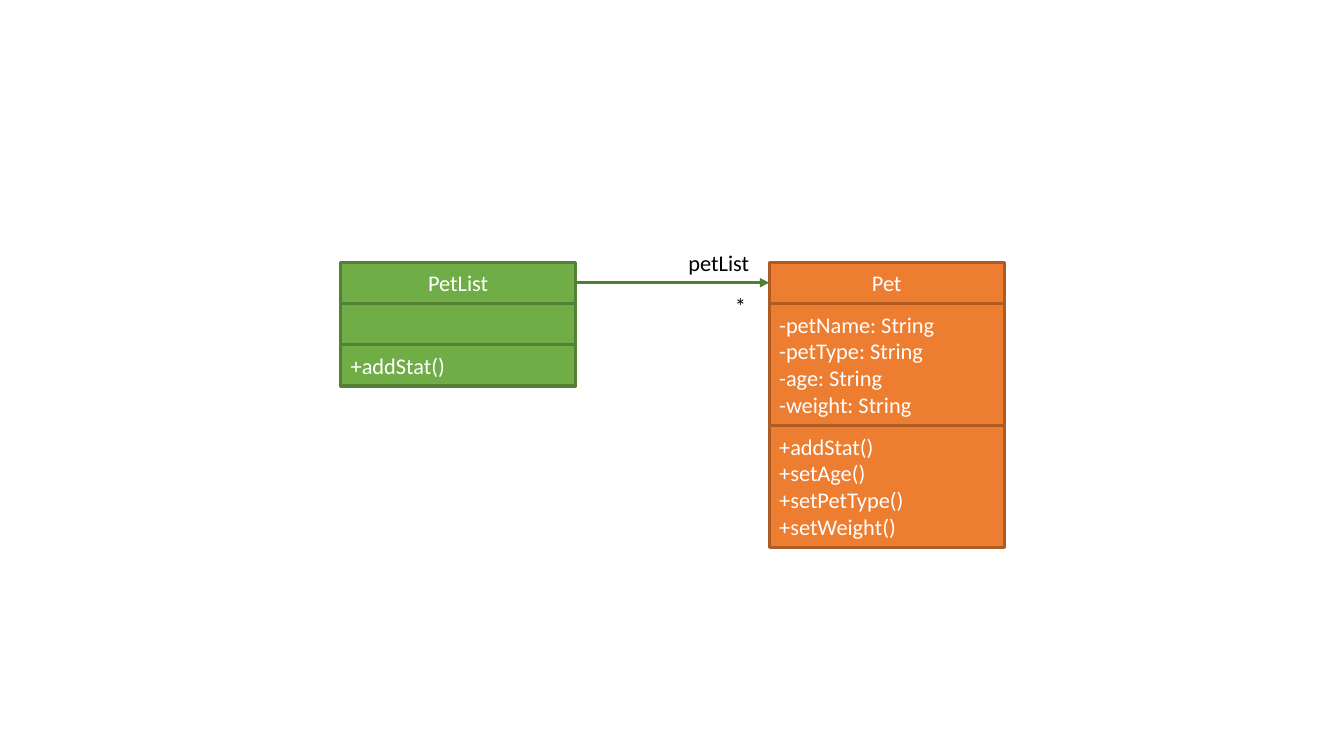
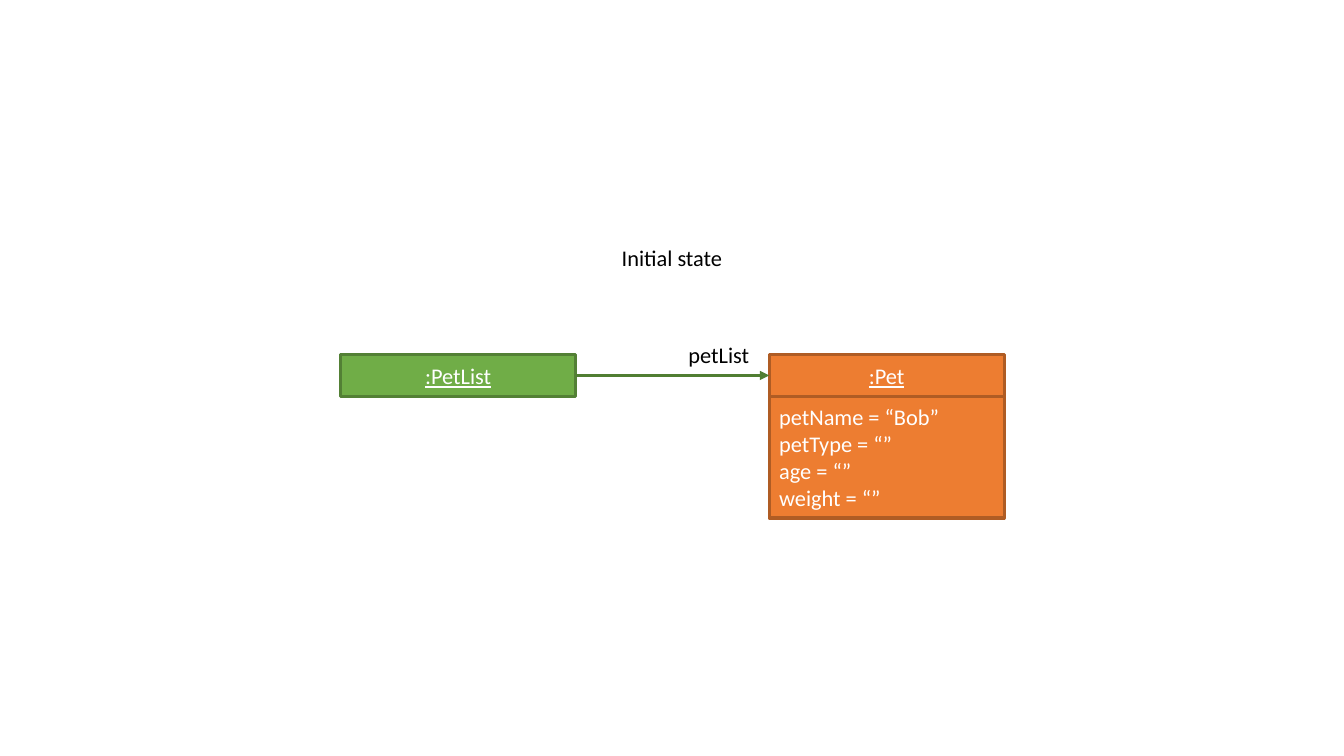
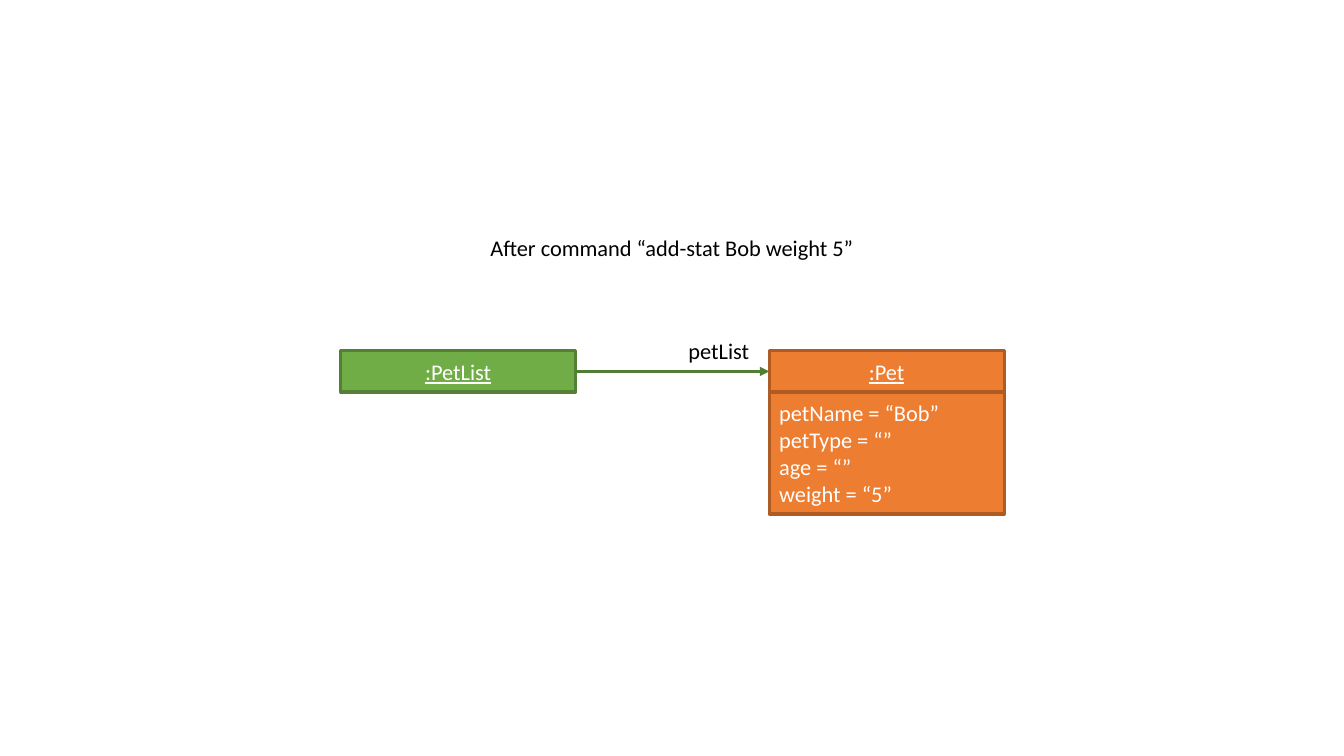
"""Build the class diagram and the two object diagrams of a pet list."""
from pptx import Presentation
from pptx.dml.color import RGBColor
from pptx.enum.shapes import MSO_CONNECTOR as Link, MSO_SHAPE as Shape
from pptx.enum.text import MSO_ANCHOR as Anchor, MSO_AUTO_SIZE as Fit, PP_ALIGN as Align
from pptx.oxml.ns import qn
from pptx.util import Inches, Pt
from lxml.etree import SubElement

GREEN, MOSS = RGBColor(0x70, 0xAD, 0x47), RGBColor(0x53, 0x80, 0x35)
ORANGE, RUST = RGBColor(0xED, 0x7D, 0x31), RGBColor(0xAF, 0x5C, 0x24)
ARROW = RGBColor(0x50, 0x7E, 0x32)
WHITE, BLACK = RGBColor(255, 255, 255), RGBColor(0, 0, 0)
FONT, SIZE, STROKE = "Calibri", Pt(16), Pt(2.25)

SLIDES = [
    {
        "top": 2.6,
        "list": ["PetList", "", "+addStat()"],
        "pet": [
            "Pet",
            "-petName: String\n-petType: String\n-age: String\n-weight: String",
            "+addStat()\n+setAge()\n+setPetType()\n+setWeight()",
        ],
        "count": "*",
    },
    {
        "top": 3.52,
        "title": ("Initial state", 6.06, 2.37, 1.21),
        "list": [":PetList"],
        "pet": [":Pet", "petName = “Bob”\npetType = “”\nage = “”\nweight = “”"],
    },
    {
        "top": 3.48,
        "title": ("After command “add-stat Bob weight 5”", 4.74, 2.27, 3.85),
        "list": [":PetList"],
        "pet": [":Pet", "petName = “Bob”\npetType = “”\nage = “”\nweight = “5”"],
    },
]
LIST_X, PET_X, WIDTH = 3.38, 7.63, 2.33
ROW, LINE = 0.41, 0.8 / 3
LABEL_H = 0.37


def write(frame, text, color, align=Align.LEFT, under=None):
    frame.text = text
    for para in frame.paragraphs:
        para.alignment = align
        for run in para.runs:
            font = run.font
            font.name, font.size, font.underline = FONT, SIZE, under
            font.color.rgb = color


def add_class(slide, left, top, parts, fill, edge):
    """Stack the compartments of one class and return its header."""
    boxes = []
    for i, text in enumerate(parts):
        high = ROW + text.count("\n") * LINE
        box = slide.shapes.add_shape(
            Shape.RECTANGLE, Inches(left), Inches(top), Inches(WIDTH), Inches(high))
        box.shadow.inherit = False
        box.fill.solid()
        box.fill.fore_color.rgb = fill
        box.line.color.rgb, box.line.width = edge, STROKE
        box.text_frame.vertical_anchor = Anchor.MIDDLE
        write(box.text_frame, text, WHITE, Align.LEFT if i else Align.CENTER,
              text.startswith(":") or None)
        boxes.append(box)
        top += high
    return boxes[0]


def add_arrow(slide, start, end):
    arrow = slide.shapes.add_connector(Link.STRAIGHT, 0, 0, 0, 0)
    arrow.begin_connect(start, 3)
    arrow.end_connect(end, 1)
    arrow.line.color.rgb, arrow.line.width = ARROW, STROKE
    SubElement(arrow.line._get_or_add_ln(), qn("a:tailEnd"), type="triangle")
    SubElement(arrow._element.spPr, qn("a:effectLst"))


def set_label(box, text, align=Align.LEFT):
    frame = box.text_frame
    frame.word_wrap, frame.auto_size = False, Fit.SHAPE_TO_FIT_TEXT
    frame.vertical_anchor = Anchor.TOP
    write(frame, text, BLACK, align)


def add_label(slide, text, left, top, width):
    box = slide.shapes.add_textbox(
        Inches(left), Inches(top), Inches(width), Inches(LABEL_H))
    set_label(box, text)


def set_title(slide, text, left, top, width):
    title = slide.shapes.title
    title.left, title.top = Inches(left), Inches(top)
    title.width, title.height = Inches(width), Inches(LABEL_H)
    set_label(title, text, Align.CENTER)


deck = Presentation()
deck.slide_width, deck.slide_height = Inches(13.33), Inches(7.5)
for data in SLIDES:
    slide = deck.slides.add_slide(deck.slide_layouts[5 if "title" in data else 6])
    top = data["top"]
    owner = add_class(slide, LIST_X, top, data["list"], GREEN, MOSS)
    pet = add_class(slide, PET_X, top, data["pet"], ORANGE, RUST)
    add_arrow(slide, owner, pet)
    add_label(slide, "petList", 6.73, top - 0.18, 0.81)
    if "count" in data:
        add_label(slide, data["count"], 7.19, top + 0.25, 0.31)
    if "title" in data:
        set_title(slide, *data["title"])
deck.save("out.pptx")
